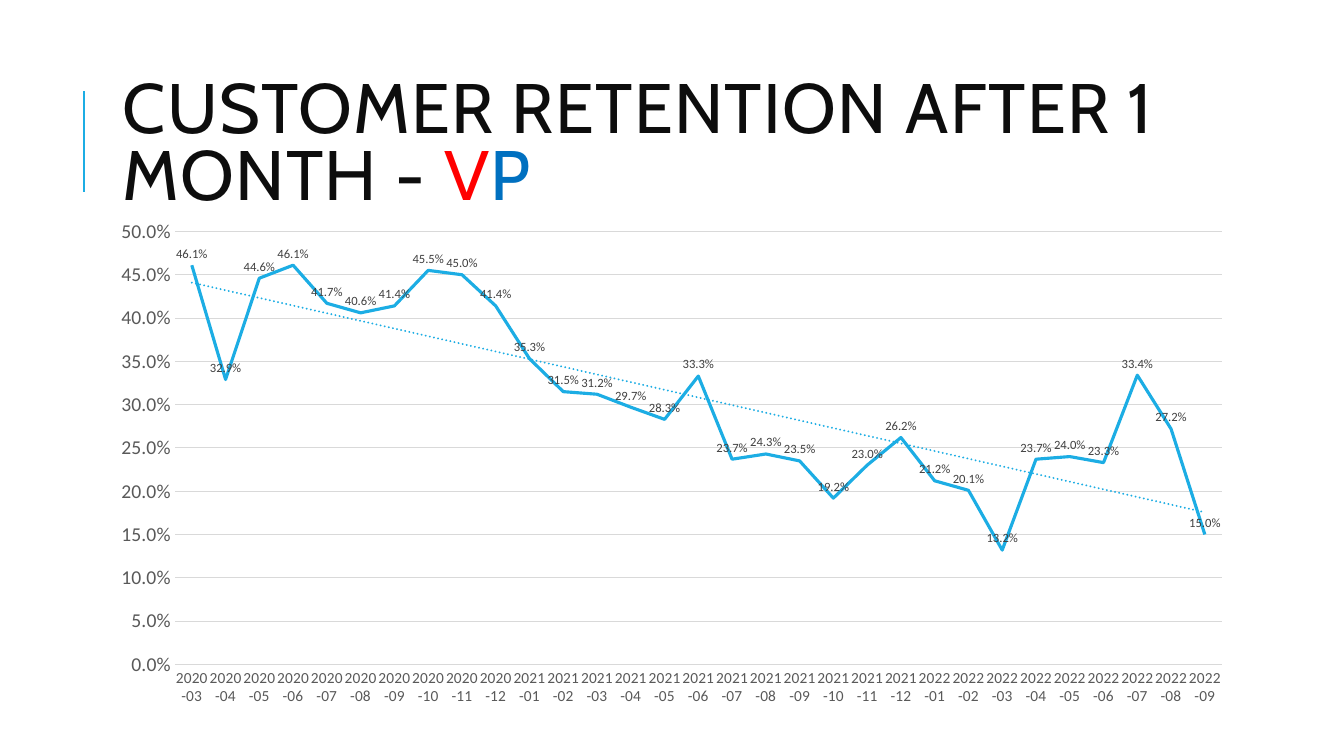
from lxml import etree
from pptx import Presentation
from pptx import util as u
from pptx.chart import data
from pptx.dml.color import RGBColor
from pptx.enum import chart as ch, shapes, text
from pptx.oxml import parse_xml
from pptx.oxml.ns import nsdecls, qn

ACCENT, INK, GREY, RULE = "1CADE4", "0D0D0D", "595959", "D9D9D9"
PERCENT = "0.0%"


def colour(value):
    return RGBColor.from_string(value)


def style_font(font, size, value, face):
    font.size, font.name, font.bold = u.Pt(size), face, False
    font.color.rgb = colour(value)


def style_line(line, value, width):
    line.color.rgb = colour(value)
    line.width = u.Pt(width)


def add_text(paragraph, words, size=50, fill=INK, face="Cabin", spacing=1):
    run = paragraph.add_run()
    run.text = words
    style_font(run.font, size, fill, face)
    run._r.get_or_add_rPr().set("spc", str(spacing * 100))


class RetentionSlide:
    face = "Calibri"

    def __init__(self, deck):
        self.deck = deck
        self.slide = deck.slides.add_slide(deck.slide_layouts[5])
        self.slide.background.fill.solid()
        self.slide.background.fill.fore_color.rgb = colour("FFFFFF")

    def place(self, *shares):
        sides = (self.deck.slide_width, self.deck.slide_height) * 2
        return [int(side * share / 100) for side, share in zip(sides, shares)]

    def rule(self, *ends):
        accent = self.slide.shapes.add_connector(
            shapes.MSO_CONNECTOR.STRAIGHT, *self.place(*ends))
        style_line(accent.line, ACCENT, 1.5)
        etree.SubElement(accent._element.spPr, qn("a:effectLst"))

    def title(self, box, parts):
        heading = self.slide.shapes.title
        heading.left, heading.top, heading.width, heading.height = self.place(*box)
        frame = heading.text_frame
        frame.word_wrap = True
        frame.auto_size = text.MSO_AUTO_SIZE.NONE
        frame.vertical_anchor = text.MSO_ANCHOR.MIDDLE
        line = frame.paragraphs[0]
        line.alignment = text.PP_ALIGN.LEFT
        line.line_spacing = 0.8
        for words, fill in parts:
            add_text(line, words, fill=fill)

    def line_chart(self, box, plot, months, rates):
        table = data.CategoryChartData(number_format=PERCENT)
        table.categories = months
        table.add_series("Series 1", rates)
        chart = self.slide.shapes.add_chart(
            ch.XL_CHART_TYPE.LINE, *self.place(*box), table).chart
        chart.has_legend = chart.has_title = False
        style_font(chart.font, 10, "000000", self.face)
        chart.plots[0].vary_by_categories = False
        self.axes(chart)
        self.trend_series(chart.plots[0].series[0])
        self.plot_area(chart, plot)

    def axes(self, chart):
        for axis, size in ((chart.category_axis, 11), (chart.value_axis, 14)):
            axis.major_tick_mark = axis.minor_tick_mark = ch.XL_TICK_MARK.NONE
            style_font(axis.tick_labels.font, size, GREY, self.face)
            upright = axis._element.find(qn("c:txPr")).find(qn("a:bodyPr"))
            upright.set("rot", "0")
            upright.set("vert", "horz")
        style_line(chart.category_axis.format.line, RULE, 0.75)
        scale = chart.value_axis
        scale.minimum_scale, scale.maximum_scale, scale.major_unit = 0, 0.5, 0.05
        scale.format.line.fill.background()
        style_line(scale.major_gridlines.format.line, RULE, 0.75)
        scale.tick_labels.number_format = PERCENT
        scale.tick_labels.number_format_is_linked = False

    def trend_series(self, series):
        series.smooth = False
        series.marker.style = ch.XL_MARKER_STYLE.NONE
        style_line(series.format.line, ACCENT, 2.25)
        labels = series.data_labels
        labels.show_value = True
        labels.position = ch.XL_LABEL_POSITION.ABOVE
        labels.number_format, labels.number_format_is_linked = PERCENT, False
        style_font(labels.font, 9, "404040", self.face)
        trend = parse_xml(
            f'<c:trendline {nsdecls("c", "a")}><c:spPr><a:ln w="{u.Pt(1.5)}" cap="rnd">'
            f'<a:solidFill><a:srgbClr val="{ACCENT}"/></a:solidFill>'
            '<a:prstDash val="sysDot"/></a:ln></c:spPr>'
            '<c:trendlineType val="linear"/><c:dispRSqr val="0"/>'
            '<c:dispEq val="0"/></c:trendline>')
        series._element.find(qn("c:cat")).addprevious(trend)

    def plot_area(self, chart, shares):
        area = chart._chartSpace.chart.plotArea
        for automatic in area.findall(qn("c:layout")):
            area.remove(automatic)
        sizes = "".join(f'<c:{side} val="{share / 100:.4f}"/>'
                        for side, share in zip("xywh", shares))
        area.insert(0, parse_xml(
            f'<c:layout {nsdecls("c")}><c:manualLayout><c:layoutTarget val="inner"/>'
            '<c:xMode val="edge"/><c:yMode val="edge"/>'
            f'{sizes}</c:manualLayout></c:layout>'))


retention = [46.1, 32.9, 44.6, 46.1, 41.7, 40.6, 41.4, 45.5, 45.0, 41.4,
             35.3, 31.5, 31.2, 29.7, 28.3, 33.3, 23.7, 24.3, 23.5, 19.2, 23.0, 26.2,
             21.2, 20.1, 13.2, 23.7, 24.0, 23.3, 33.4, 27.2, 15.0]
first_month = 2
months = [f"{2020 + step // 12}-{step % 12 + 1:02}"
          for step in range(first_month, first_month + len(retention))]

deck = Presentation()
deck.slide_width, deck.slide_height = u.Inches(13.33), u.Inches(7.5)
page = RetentionSlide(deck)
page.rule(6.25, 25.4, 6.25, 12)
page.title((8.37, 8.53, 79.74, 21.87),
           [("CUSTOMER RETENTION AFTER 1 MONTH - ", INK),
            ("V", "FF0000"), ("P", "0070C0")])
page.line_chart((7.35, 27.6, 85.22, 67.07), (6.65, 4.5, 91.4, 85.4),
                months, [round(rate / 100, 3) for rate in retention])
deck.save("out.pptx")
